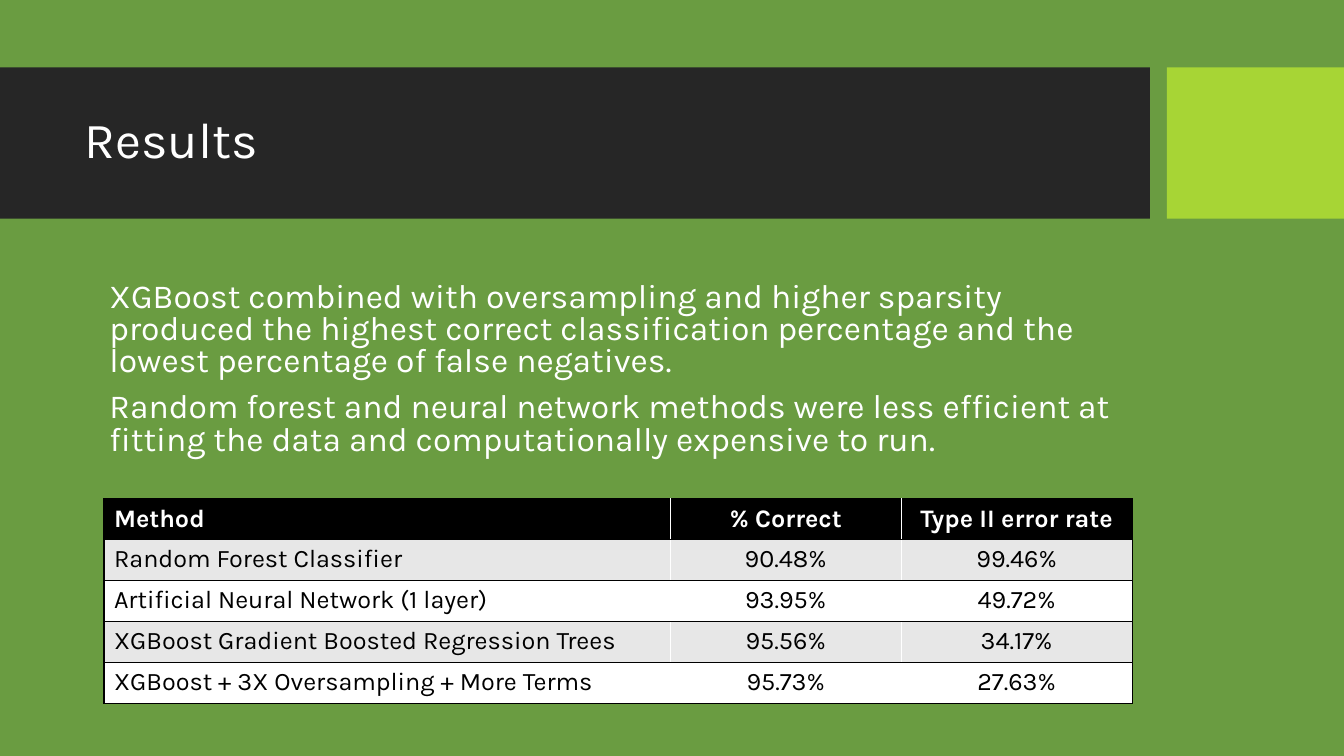
from dataclasses import dataclass

from lxml.etree import SubElement
from pptx import Presentation
from pptx.dml.color import RGBColor
from pptx.enum.shapes import MSO_SHAPE as Preset
from pptx.enum.text import MSO_ANCHOR as Anchor, PP_ALIGN as Align
from pptx.oxml.ns import qn
from pptx.util import Cm, Pt

FONT = "Karla"
COLORS = {
    "background": "6A9C41",
    "band": "262626",
    "accent": "A7D535",
    "light": "FFFFFF",
    "dark": "000000",
    "stripe": "E7E7E7",
}


@dataclass(frozen=True)
class Box:
    """Position and size in centimetres."""
    left: float
    top: float
    width: float
    height: float

    def lengths(self) -> tuple:
        """Return the four values as lengths."""
        return Cm(self.left), Cm(self.top), Cm(self.width), Cm(self.height)


@dataclass(frozen=True)
class Bar:
    """A plain filled rectangle."""
    box: Box
    color: str


@dataclass(frozen=True)
class TextBlock:
    """A text box with evenly styled paragraphs."""
    box: Box
    paragraphs: tuple[str, ...]
    size: int
    anchor: Anchor
    line_spacing: float
    space_before: int = 0


@dataclass(frozen=True)
class Result:
    """One table row."""
    method: str
    correct: str
    error_rate: str

    def values(self) -> tuple[str, ...]:
        """Return the cell texts from left to right."""
        return self.method, self.correct, self.error_rate


BARS = (
    Bar(Box(0, 1.7, 28.98, 3.81), "band"),
    Bar(Box(29.41, 1.7, 4.46, 3.81), "accent"),
)
TEXT_BLOCKS = (
    TextBlock(Box(1.88, 2.08, 26.7, 3), ("Results",), 36, Anchor.MIDDLE, 0.9),
    TextBlock(
        Box(2.51, 6.5, 26.09, 5.16),
        (
            "XGBoost combined with oversampling and higher sparsity produced the "
            "highest correct classification percentage and the lowest percentage "
            "of false negatives.",
            "Random forest and neural network methods were less efficient at "
            "fitting the data and computationally expensive to run.",
        ),
        24, Anchor.BOTTOM, 0.8, 10,
    ),
)
RESULTS = (
    Result("Method", "% Correct", "Type II error rate"),
    Result("Random Forest Classifier", "90.48%", "99.46%"),
    Result("Artificial Neural Network (1 layer)", "93.95%", "49.72%"),
    Result("XGBoost Gradient Boosted Regression Trees", "95.56%", "34.17%"),
    Result("XGBoost + 3X Oversampling + More Terms", "95.73%", "27.63%"),
)
COLUMN_WIDTHS = (14.27, 5.82, 5.82)
ROW_HEIGHT = 1.03
TABLE_BOX = Box(2.62, 12.57, sum(COLUMN_WIDTHS), ROW_HEIGHT * len(RESULTS))


def rgb(name: str) -> RGBColor:
    """Look up a named colour."""
    return RGBColor.from_string(COLORS[name])


def fill_solid(target, color: str) -> None:
    """Give a shape, cell or background a solid fill."""
    target.fill.solid()
    target.fill.fore_color.rgb = rgb(color)


def add_run(paragraph, text: str, size: int, color: str, bold: bool = False) -> None:
    """Append a styled run to a paragraph."""
    run = paragraph.add_run()
    run.text = text
    run.font.name = FONT
    run.font.size = Pt(size)
    run.font.bold = bold
    run.font.color.rgb = rgb(color)


def add_bar(slide, bar: Bar) -> None:
    """Draw a filled rectangle without outline or shadow."""
    shape = slide.shapes.add_shape(Preset.RECTANGLE, *bar.box.lengths())
    shape.shadow.inherit = False
    fill_solid(shape, bar.color)
    shape.line.fill.background()


def add_text_block(slide, block: TextBlock) -> None:
    """Draw a wrapped text box."""
    frame = slide.shapes.add_textbox(*block.box.lengths()).text_frame
    frame.word_wrap = True
    frame.vertical_anchor = block.anchor
    for index, text in enumerate(block.paragraphs):
        paragraph = frame.add_paragraph() if index else frame.paragraphs[0]
        paragraph.line_spacing = block.line_spacing
        paragraph.space_before = Pt(block.space_before)
        add_run(paragraph, text, block.size, "light")


def add_borders(cell, sides: str) -> None:
    """Draw thin dark borders on the given sides, ahead of the cell's fill."""
    properties = cell._tc.get_or_add_tcPr()
    for side in sides:
        border = SubElement(properties, qn(f"a:ln{side}"), w=str(Pt(1)))
        solid = SubElement(border, qn("a:solidFill"))
        SubElement(solid, qn("a:srgbClr"), val=COLORS["dark"])


def add_results_table(slide) -> None:
    """Draw the striped table of results with row lines and an outer frame."""
    table = slide.shapes.add_table(
        len(RESULTS), len(COLUMN_WIDTHS), *TABLE_BOX.lengths()).table
    for column, width in zip(table.columns, COLUMN_WIDTHS):
        column.width = Cm(width)
    last_column = len(COLUMN_WIDTHS) - 1
    for row_index, result in enumerate(RESULTS):
        table.rows[row_index].height = Cm(ROW_HEIGHT)
        header = row_index == 0
        fill = "dark" if header else "stripe" if row_index % 2 else "light"
        for column_index, text in enumerate(result.values()):
            cell = table.cell(row_index, column_index)
            outer = {0: "L", last_column: "R"}.get(column_index, "")
            add_borders(cell, outer + "TB")
            fill_solid(cell, fill)
            paragraph = cell.text_frame.paragraphs[0]
            paragraph.alignment = Align.CENTER if column_index else Align.LEFT
            add_run(paragraph, text, 18, "light" if header else "dark", header)


def main() -> None:
    """Build and save the results slide."""
    presentation = Presentation()
    presentation.slide_width = Cm(33.87)
    presentation.slide_height = Cm(19.05)
    slide = presentation.slides.add_slide(presentation.slide_layouts[6])
    fill_solid(slide.background, "background")
    for bar in BARS:
        add_bar(slide, bar)
    add_results_table(slide)
    for block in TEXT_BLOCKS:
        add_text_block(slide, block)
    presentation.save("out.pptx")


main()
